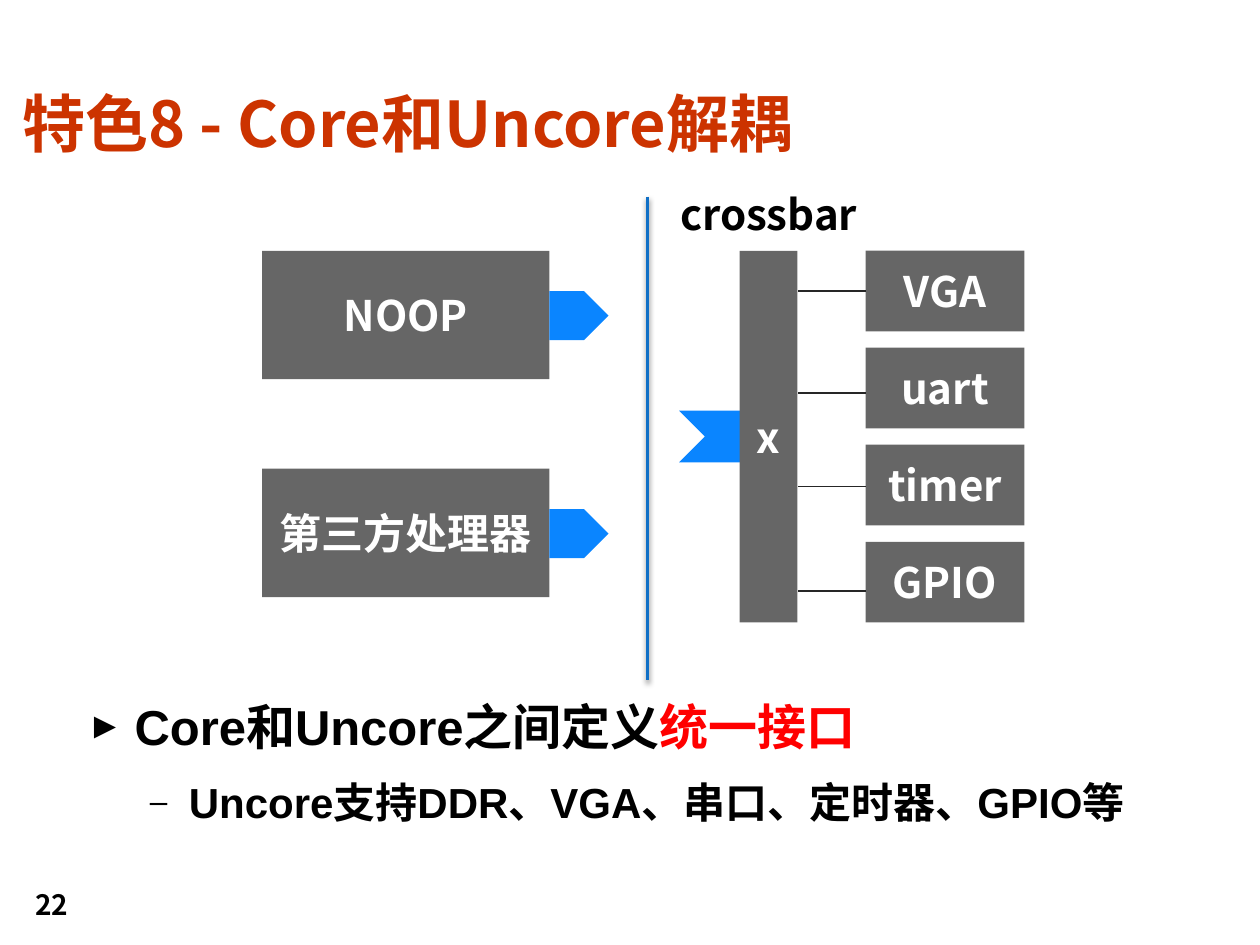
import pptx
import pptx.util
import pptx.dml.color
import pptx.enum.shapes
import pptx.enum.text
import pptx.oxml.ns
import lxml.etree

Inches = pptx.util.Inches
Pt = pptx.util.Pt
RGBColor = pptx.dml.color.RGBColor
Shape = pptx.enum.shapes.MSO_SHAPE
Anchor = pptx.enum.text.MSO_ANCHOR
Align = pptx.enum.text.PP_ALIGN
qn = pptx.oxml.ns.qn

ORANGE = RGBColor(0xCC, 0x33, 0x00)
RED = RGBColor(0xFF, 0x00, 0x00)
BLACK = RGBColor(0x00, 0x00, 0x00)
WHITE = RGBColor(0xFF, 0xFF, 0xFF)
GRAY = RGBColor(0x66, 0x66, 0x66)
BLUE = RGBColor(0x0A, 0x85, 0xFF)
DIVIDER_BLUE = RGBColor(0x0F, 0x6F, 0xC6)
LINK_GRAY = RGBColor(0x26, 0x26, 0x26)


class SlideBuilder:
    heading_font = "Noto Sans CJK SC"
    body_font = "Arial"

    def __init__(self, slide):
        self.slide = slide

    def run(self, paragraph, words, size, color, font=heading_font):
        run = paragraph.add_run()
        run.text = words
        run.font.size = Pt(size)
        run.font.bold = True
        run.font.color.rgb = color
        run.font.name = font
        east_asian = lxml.etree.SubElement(run.font._element, qn("a:ea"))
        east_asian.set("typeface", self.heading_font)

    def frame(self, left, top, width, height, anchor):
        box = self.slide.shapes.add_textbox(
            Inches(left), Inches(top), Inches(width), Inches(height))
        box.text_frame.word_wrap = True
        box.text_frame.vertical_anchor = anchor
        return box.text_frame

    def label(self, place, words, size, color, anchor, align):
        paragraph = self.frame(*place, anchor).paragraphs[0]
        paragraph.alignment = align
        self.run(paragraph, words, size, color)
        return paragraph

    def block(self, kind, left, top, width, height, fill, words=None):
        block = self.slide.shapes.add_shape(
            kind, Inches(left), Inches(top), Inches(width), Inches(height))
        block.shadow.inherit = False
        block.fill.solid()
        block.fill.fore_color.rgb = fill
        block.line.fill.background()
        if words:
            block.text_frame.word_wrap = True
            block.text_frame.vertical_anchor = Anchor.MIDDLE
            paragraph = block.text_frame.paragraphs[0]
            paragraph.alignment = Align.CENTER
            self.run(paragraph, words, 24, WHITE)

    def line(self, start, end, color, width, shadow=False):
        line = self.slide.shapes.add_connector(
            pptx.enum.shapes.MSO_CONNECTOR.STRAIGHT,
            *(Inches(length) for length in start + end))
        line.line.color.rgb = color
        line.line.width = Pt(width)
        effects = lxml.etree.SubElement(line._element.spPr, qn("a:effectLst"))
        if shadow:
            outer = lxml.etree.SubElement(
                effects, qn("a:outerShdw"), blurRad=str(Pt(3.1)),
                dist=str(Pt(1.6)), dir="5400000", rotWithShape="0")
            tone = lxml.etree.SubElement(outer, qn("a:srgbClr"), val="000000")
            lxml.etree.SubElement(tone, qn("a:alpha"), val="38000")

    def bullet(self, paragraph, mark, level, indent, hanging, size, pieces):
        paragraph.level = level
        paragraph.space_before = Pt(12)
        props = paragraph._p.get_or_add_pPr()
        props.set("marL", str(Inches(indent)))
        props.set("indent", str(-Inches(hanging)))
        tint = lxml.etree.SubElement(props, qn("a:buClr"))
        lxml.etree.SubElement(tint, qn("a:srgbClr"), val=str(BLACK))
        lxml.etree.SubElement(props, qn("a:buSzPct"), val="75000")
        lxml.etree.SubElement(props, qn("a:buFont"), typeface=self.body_font)
        lxml.etree.SubElement(props, qn("a:buChar"), char=mark)
        for words, color in pieces:
            self.run(paragraph, words, size, color, self.body_font)


deck = pptx.Presentation()
deck.slide_width = Inches(10)
deck.slide_height = Inches(7.5)
page = SlideBuilder(deck.slides.add_slide(deck.slide_layouts[6]))

title = page.label((0.08, 0.08, 8.67, 1.25), "特色8 - Core和Uncore解耦",
                   36, ORANGE, Anchor.BOTTOM, Align.LEFT)
title.line_spacing = 0.9
page.label((0.09, 6.83, 0.64, 0.53), "22", 16, BLACK, Anchor.BOTTOM, Align.CENTER)

points = page.frame(0.59, 5.48, 9.02, 1.56, Anchor.TOP)
page.bullet(points.paragraphs[0], "►", 0, 0.38, 0.38, 28,
            [("Core和Uncore之间定义", BLACK), ("统一接口", RED)])
page.bullet(points.add_paragraph(), "–", 1, 0.81, 0.31, 24,
            [("Uncore支持DDR、VGA、串口、定时器、GPIO等", BLACK)])

page.line((5.14, 1.56), (5.14, 5.4), DIVIDER_BLUE, 2, shadow=True)

for core, top in (("NOOP", 1.99), ("第三方处理器", 3.72)):
    page.block(Shape.RECTANGLE, 2.08, top, 2.28, 1.02, GRAY, core)
    page.block(Shape.PENTAGON, 4.36, top + 0.32, 0.47, 0.39, BLUE)

page.block(Shape.CHEVRON, 5.39, 3.26, 0.7, 0.41, BLUE)
page.block(Shape.RECTANGLE, 5.87, 1.99, 0.46, 2.95, GRAY, "x")
page.label((5.24, 1.3, 1.72, 0.79), "crossbar", 24, BLACK, Anchor.MIDDLE, Align.CENTER)

devices = (("VGA", 2.31), ("uart", 3.12), ("timer", 3.86), ("GPIO", 4.69))
for row, (device, link_y) in enumerate(devices):
    page.block(Shape.RECTANGLE, 6.87, 1.99 + 0.77 * row, 1.26, 0.64, GRAY, device)
    page.line((6.87, link_y), (6.33, link_y), LINK_GRAY, 0.75)

deck.save("out.pptx")
